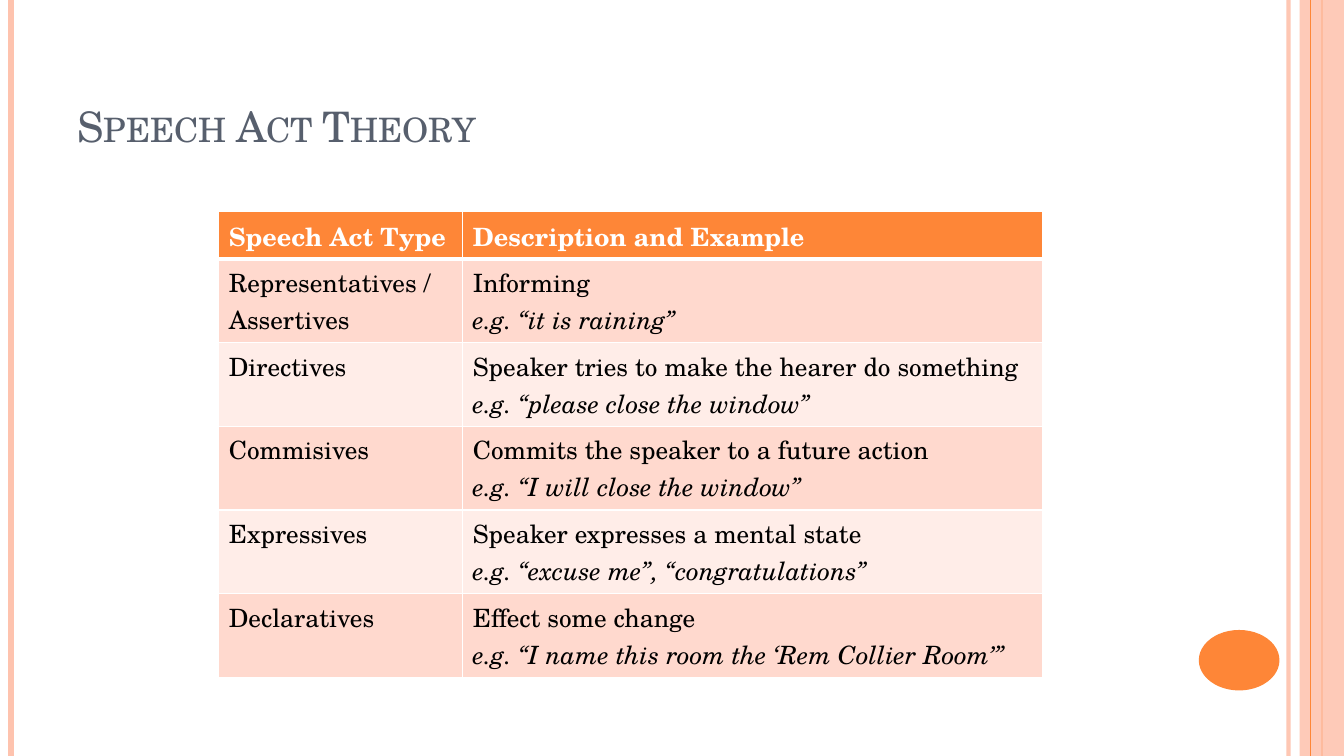
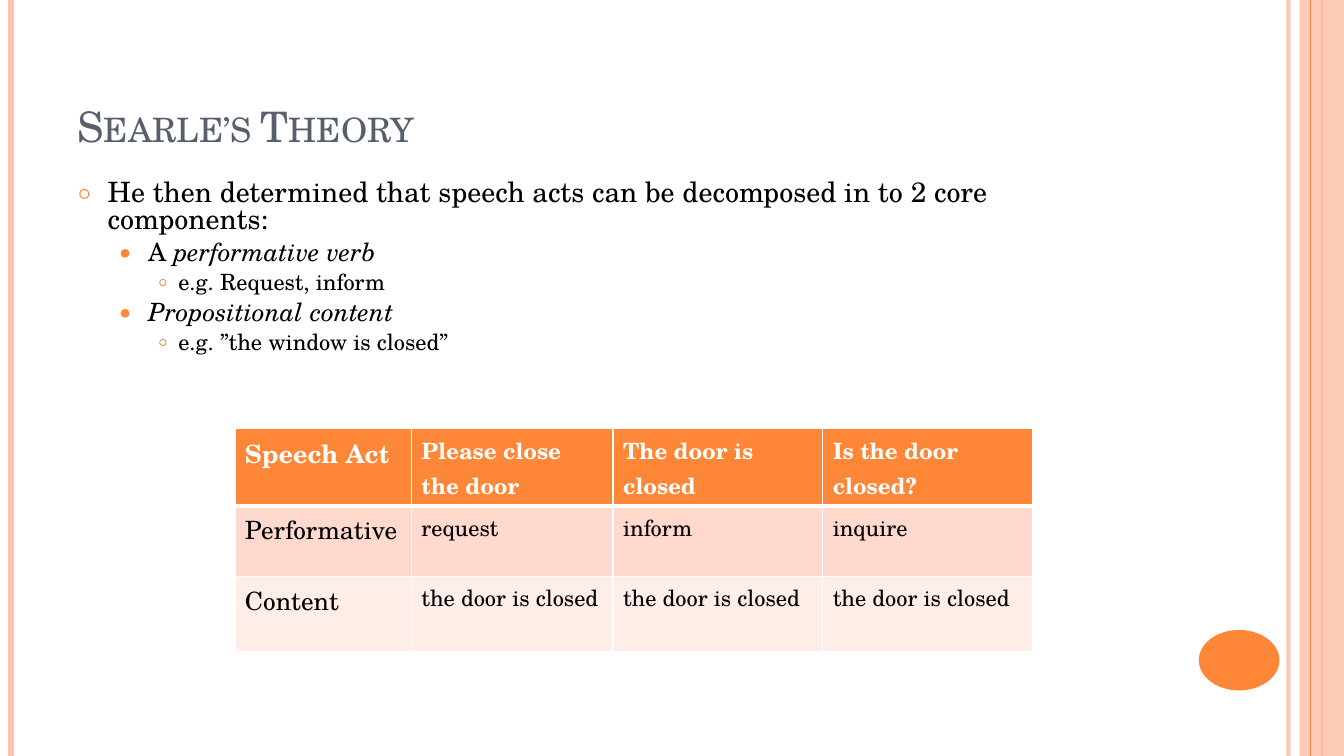
from lxml import etree
from pptx import Presentation
from pptx.dml.color import RGBColor
from pptx.enum.shapes import MSO_CONNECTOR, MSO_SHAPE
from pptx.enum.text import MSO_ANCHOR
from pptx.oxml.ns import qn
from pptx.util import Inches, Pt

STRAIGHT = MSO_CONNECTOR.STRAIGHT
RECTANGLE = MSO_SHAPE.RECTANGLE
OVAL = MSO_SHAPE.OVAL
BOTTOM = MSO_ANCHOR.BOTTOM

FONT = "TeX Gyre Schola"
WIDTH, HEIGHT = 13.33, 7.5
COLORS = {
    "accent": "FE8637", "deep": "E07631", "peach": "FEC3AE", "title": "575F6D",
    "text": "000000", "white": "FFFFFF", "band_dark": "FFD9CE", "band_light": "FFEDE8",
}
TITLE_BOX = (0.67, 0.3, 10.89, 1.25)
RULES = [(12.78, 3, "peach", 93), (0.11, 4.5, "peach", 100), (13.11, 1.5, "accent", 100)]
BAND_EDGE = (13, 0.75, "accent", 100)
LEVELS = [
    {"size": 20, "before": 6, "left": 0.3, "hang": 0.3, "bullet": "○", "color": "accent", "scale": 70},
    {"size": 18, "before": 5.3, "left": 0.7, "hang": 0.3, "bullet": "●", "color": "accent", "scale": 80},
    {"size": 16, "before": 4.7, "left": 1, "hang": 0.2, "bullet": "○", "color": "deep", "scale": 60},
]

SPEECH_ACTS = [
    ["Speech Act Type", "Description and Example"],
    ["Representatives / Assertives", "Informing\n*e.g. “it is raining”*"],
    ["Directives", "Speaker tries to make the hearer do something\n*e.g. “please close the window”*"],
    ["Commisives", "Commits the speaker to a future action\n*e.g. “I will close the window”*"],
    ["Expressives", "Speaker expresses a mental state\n*e.g. “excuse me”, “congratulations”*"],
    ["Declaratives", "Effect some change\n*e.g. “I name this room the ‘Rem Collier Room’”*"],
]
COMPONENTS = [
    (0, "He then determined that speech acts can be decomposed in to 2 core components:"),
    (1, "A *performative verb*"),
    (2, "e.g. Request, inform"),
    (1, "*Propositional content*"),
    (2, "e.g. ”the window is closed”"),
]
DECOMPOSITION = [
    ["Speech Act", "Please close the door", "The door is closed", "Is the door closed?"],
    ["Performative", "request", "inform", "inquire"],
    ["Content"] + ["the door is closed"] * 3,
]


def rgb(name):
    """Return a palette colour."""
    return RGBColor.from_string(COLORS[name])


def add_child(parent, tag, **values):
    """Append an XML element with the given attributes."""
    child = etree.SubElement(parent, qn(tag))
    for key, value in values.items():
        child.set(key, str(value))
    return child


def set_alpha(shape, percent):
    """Make the first solid colour of a shape partly transparent."""
    color = next(shape._element.spPr.iter(qn("a:srgbClr")))
    add_child(color, "a:alpha", val=percent * 1000)


def write_text(para, text, size, color, bold=False):
    """Write text in which asterisks enclose italics and newlines break lines."""
    for line_index, line in enumerate(text.split("\n")):
        if line_index:
            para.add_line_break()
        for part_index, part in enumerate(line.split("*")):
            if not part:
                continue
            span = para.add_run()
            span.text = part
            span.font.color.rgb = rgb(color)
            style = {"name": FONT, "size": Pt(size), "bold": bold, "italic": part_index % 2 == 1}
            for key, value in style.items():
                setattr(span.font, key, value)


def add_text_box(page, box):
    """Add a wrapping text box and return its frame."""
    frame = page.shapes.add_textbox(*map(Inches, box)).text_frame
    frame.word_wrap = True
    return frame


def add_rule(page, left, weight, color, opacity):
    """Draw a vertical rule down the whole page."""
    rule = page.shapes.add_connector(STRAIGHT, Inches(left), 0, Inches(left), Inches(HEIGHT))
    rule.line.color.rgb = rgb(color)
    rule.line.width = Pt(weight)
    if opacity < 100:
        set_alpha(rule, opacity)
    add_child(rule._element.spPr, "a:effectLst")


def add_solid(page, kind, box, color):
    """Draw a filled shape with no outline."""
    shape = page.shapes.add_shape(kind, *map(Inches, box))
    shape.shadow.inherit = False
    shape.fill.solid()
    shape.fill.fore_color.rgb = rgb(color)
    shape.line.fill.background()
    return shape


def add_page(deck, title):
    """Add a page with the shared rules, side band, disc and title."""
    page = deck.slides.add_slide(deck.slide_layouts[6])
    for rule in RULES:
        add_rule(page, *rule)
    set_alpha(add_solid(page, RECTANGLE, (12.89, 0, 0.44, HEIGHT), "peach"), 87)
    add_rule(page, *BAND_EDGE)
    add_solid(page, OVAL, (11.89, 6.25, 0.8, 0.6), "accent")
    frame = add_text_box(page, TITLE_BOX)
    frame.vertical_anchor = BOTTOM
    para = frame.paragraphs[0]
    write_text(para, title, 30, "title")
    para.runs[0]._r.get_or_add_rPr().set("cap", "small")
    return page


def add_bullets(page, box, items):
    """Write an indented bullet list in a box."""
    frame = add_text_box(page, box)
    for index, (level, text) in enumerate(items):
        para = frame.add_paragraph() if index else frame.paragraphs[0]
        style = LEVELS[level]
        layout = {"level": level, "line_spacing": 0.8, "space_before": Pt(style["before"])}
        for key, value in layout.items():
            setattr(para, key, value)
        properties = para._p.get_or_add_pPr()
        properties.set("marL", str(Inches(style["left"])))
        properties.set("indent", str(-Inches(style["hang"])))
        add_child(add_child(properties, "a:buClr"), "a:srgbClr", val=COLORS[style["color"]])
        add_child(properties, "a:buSzPct", val=style["scale"] * 1000)
        add_child(properties, "a:buFont", typeface=FONT)
        add_child(properties, "a:buChar", char=style["bullet"])
        write_text(para, text, style["size"], "text")


def set_borders(cell, top, bottom):
    """Give a cell white borders, with top and bottom widths in points."""
    properties = cell._tc.get_or_add_tcPr()
    for side, weight in (("L", 1), ("R", 1), ("T", top), ("B", bottom)):
        line = add_child(properties, f"a:ln{side}", w=Pt(weight))
        add_child(add_child(line, "a:solidFill"), "a:srgbClr", val=COLORS["white"])


def add_grid(page, origin, columns, heights, rows, size):
    """Add a banded table whose first column is set in 18 points."""
    box = (*origin, sum(columns), sum(heights))
    table = page.shapes.add_table(len(rows), len(columns), *map(Inches, box)).table
    table.horz_banding = False
    for column, width in zip(table.columns, columns):
        column.width = Inches(width)
    for row_index, (row, height) in enumerate(zip(rows, heights)):
        table.rows[row_index].height = Inches(height)
        header = row_index == 0
        fill = "accent" if header else ("band_light", "band_dark")[row_index % 2]
        for column_index, text in enumerate(row):
            cell = table.cell(row_index, column_index)
            set_borders(cell, 3 if row_index == 1 else 1, 3 if header else 1)
            cell.fill.solid()
            cell.fill.fore_color.rgb = rgb(fill)
            write_text(cell.text_frame.paragraphs[0], text, size if column_index else 18,
                       "white" if header else "text", header)


def build_speech_acts(deck):
    """Build the page that lists the speech act types."""
    page = add_page(deck, "Speech Act Theory")
    add_grid(page, (2.17, 2.1), [2.42, 5.75], [0.47] + [0.83] * 5, SPEECH_ACTS, 18)


def build_searle(deck):
    """Build the page that splits speech acts into components."""
    page = add_page(deck, "Searle’s Theory")
    add_bullets(page, (0.67, 1.75, 10.89, 2.4), COMPONENTS)
    add_grid(page, (2.33, 4.25), [1.75, 2, 2.08, 2.08], [0.77, 0.7, 0.74], DECOMPOSITION, 16)


def main():
    """Build and save the deck."""
    deck = Presentation()
    deck.slide_width, deck.slide_height = Inches(WIDTH), Inches(HEIGHT)
    build_speech_acts(deck)
    build_searle(deck)
    deck.save("out.pptx")


if __name__ == "__main__":
    main()
